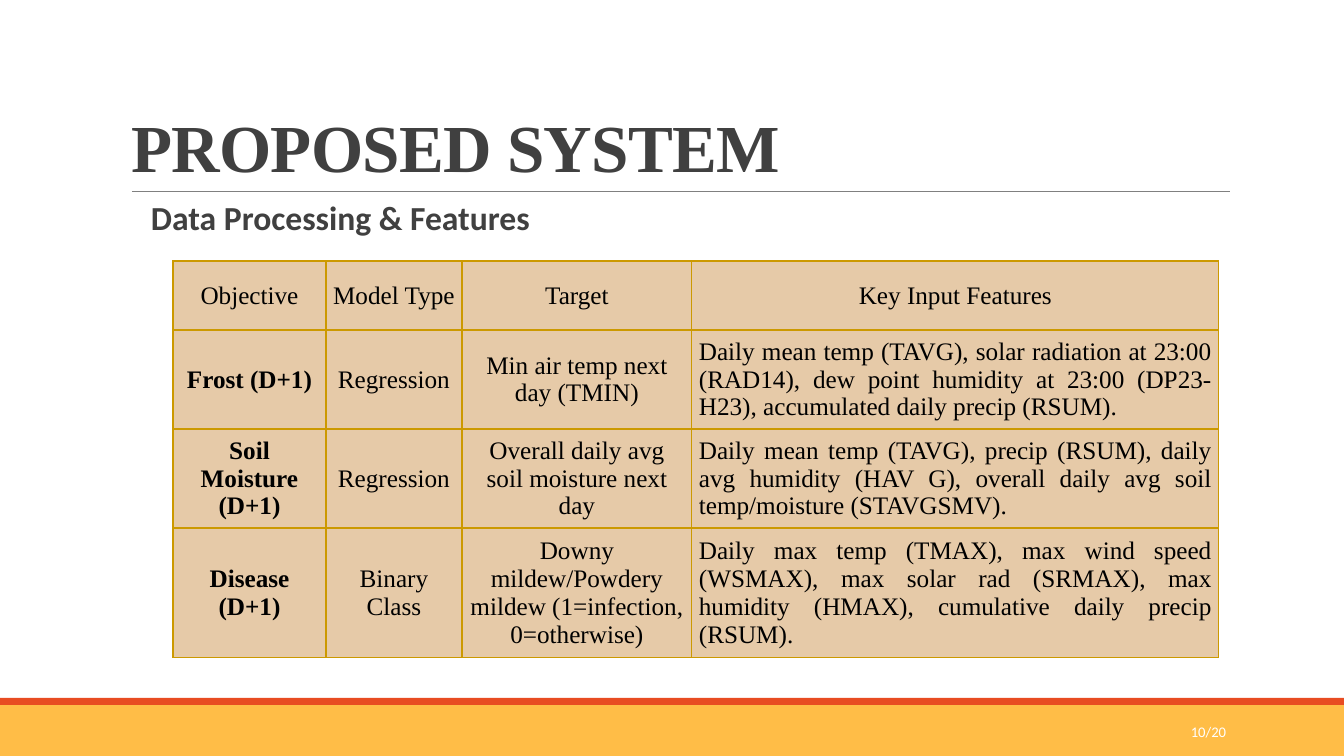
from dataclasses import dataclass

from lxml.etree import SubElement
from pptx import Presentation
from pptx.dml.color import RGBColor
from pptx.enum.shapes import MSO_CONNECTOR, MSO_SHAPE
from pptx.enum.text import MSO_ANCHOR, PP_ALIGN
from pptx.oxml.ns import qn
from pptx.util import Pt

EMU_PER_PX = 914400 / 100.8
SLIDE_WIDTH, SLIDE_HEIGHT = 1344, 756


@dataclass(frozen=True)
class Theme:
    serif: str = "Times New Roman"
    sans: str = "Calibri"
    heading: str = "404040"
    ink: str = "000000"
    light: str = "FFFFFF"
    rule: str = "808080"
    band: str = "FFBD47"
    stripe: str = "E84C22"
    cell: str = "E6CAA8"
    border: str = "CC9900"
    title_size: float = 48
    subtitle_size: float = 24
    table_size: float = 18
    page_size: float = 10.5


THEME = Theme()

COLUMN_WIDTHS = (153, 136, 230, 527)
ROW_HEIGHTS = (69, 99, 99, 130)
OBJECTIVES = (
    ("Objective", "Model Type", "Target", "Key Input Features"),
    ("Frost (D+1)", "Regression", "Min air temp next day (TMIN)",
     "Daily mean temp (TAVG), solar radiation at 23:00 (RAD14), dew point "
     "humidity at 23:00 (DP23-H23), accumulated daily precip (RSUM)."),
    ("Soil Moisture (D+1)", "Regression", "Overall daily avg soil moisture next day",
     "Daily mean temp (TAVG), precip (RSUM), daily avg humidity (HAV G), "
     "overall daily avg soil temp/moisture (STAVGSMV)."),
    ("Disease (D+1)", "Binary Class",
     "Downy mildew/Powdery mildew (1=infection, 0=otherwise)",
     "Daily max temp (TMAX), max wind speed (WSMAX), max solar rad (SRMAX), "
     "max humidity (HMAX), cumulative daily precip (RSUM)."),
)


def px(length):
    return round(length * EMU_PER_PX)


def box(*lengths):
    return [px(length) for length in lengths]


def rgb(color):
    return RGBColor.from_string(color)


def write(frame, text, font, size, color, bold=False, align=PP_ALIGN.LEFT):
    """Fill a text frame with one formatted paragraph and return it."""
    frame.text = text
    frame.word_wrap = True
    paragraph = frame.paragraphs[0]
    paragraph.alignment = align
    style = paragraph.runs[0].font
    style.name, style.size, style.bold = font, Pt(size), bold
    style.color.rgb = rgb(color)
    return paragraph


def add_bar(slide, top, height, color):
    bar = slide.shapes.add_shape(
        MSO_SHAPE.RECTANGLE, *box(0, top, SLIDE_WIDTH, height))
    bar.shadow.inherit = False
    bar.fill.solid()
    bar.fill.fore_color.rgb = rgb(color)
    bar.line.fill.background()


def add_rule(slide, left, right, y):
    rule = slide.shapes.add_connector(
        MSO_CONNECTOR.STRAIGHT, *box(left, y, right, y))
    rule.line.color.rgb = rgb(THEME.rule)
    rule.line.width = Pt(0.5)
    SubElement(rule._element.spPr, qn("a:effectLst"))


def set_title(slide, text):
    title = slide.shapes.title
    title.left, title.top, title.width, title.height = box(121, 31, 1109, 160)
    frame = title.text_frame
    paragraph = write(frame, text, THEME.serif, THEME.title_size,
                      THEME.heading, bold=True)
    frame.vertical_anchor = MSO_ANCHOR.BOTTOM
    paragraph.line_spacing = 0.85
    paragraph.runs[0]._r.get_or_add_rPr().set("spc", "-50")


def add_label(slide, bounds, text, size, color, **style):
    frame = slide.shapes.add_textbox(*box(*bounds)).text_frame
    write(frame, text, THEME.sans, size, color, **style)
    frame.vertical_anchor = MSO_ANCHOR.MIDDLE


def outline_cell(cell):
    """Put border lines ahead of the fill, as the cell schema requires."""
    properties = cell._tc.get_or_add_tcPr()
    for index, side in enumerate(("lnL", "lnR", "lnT", "lnB")):
        line = SubElement(properties, qn(f"a:{side}"), w=str(Pt(1)))
        fill = SubElement(line, qn("a:solidFill"))
        SubElement(fill, qn("a:srgbClr"), val=THEME.border)
        properties.insert(index, line)


def add_objectives_table(slide, left, top):
    table = slide.shapes.add_table(
        len(ROW_HEIGHTS), len(COLUMN_WIDTHS),
        *box(left, top, sum(COLUMN_WIDTHS), sum(ROW_HEIGHTS))).table
    table.horz_banding = False
    for column, width in zip(table.columns, COLUMN_WIDTHS):
        column.width = px(width)
    for row, height in zip(table.rows, ROW_HEIGHTS):
        row.height = px(height)
    for r, entries in enumerate(OBJECTIVES):
        for c, entry in enumerate(entries):
            cell = table.cell(r, c)
            is_feature_list = r > 0 and c == len(entries) - 1
            write(cell.text_frame, entry, THEME.serif, THEME.table_size,
                  THEME.ink, bold=r > 0 and c == 0,
                  align=PP_ALIGN.JUSTIFY if is_feature_list else PP_ALIGN.CENTER)
            cell.vertical_anchor = MSO_ANCHOR.MIDDLE
            cell.margin_left = cell.margin_right = px(7)
            cell.margin_top = cell.margin_bottom = px(4)
            cell.fill.solid()
            cell.fill.fore_color.rgb = rgb(THEME.cell)
            outline_cell(cell)


def main():
    presentation = Presentation()
    presentation.slide_width = px(SLIDE_WIDTH)
    presentation.slide_height = px(SLIDE_HEIGHT)
    slide = presentation.slides.add_slide(presentation.slide_layouts[5])

    add_bar(slide, 705, 51, THEME.band)
    add_bar(slide, 698, 7, THEME.stripe)
    add_rule(slide, 132, 1230, 191)
    set_title(slide, "PROPOSED SYSTEM")
    add_label(slide, (1092, 712, 144, 40), "10/20", THEME.page_size,
              THEME.light, align=PP_ALIGN.RIGHT)
    add_label(slide, (141, 194, 1126, 46), "Data Processing & Features",
              THEME.subtitle_size, THEME.heading, bold=True)
    add_objectives_table(slide, 173, 261)
    presentation.save("out.pptx")


if __name__ == "__main__":
    main()
